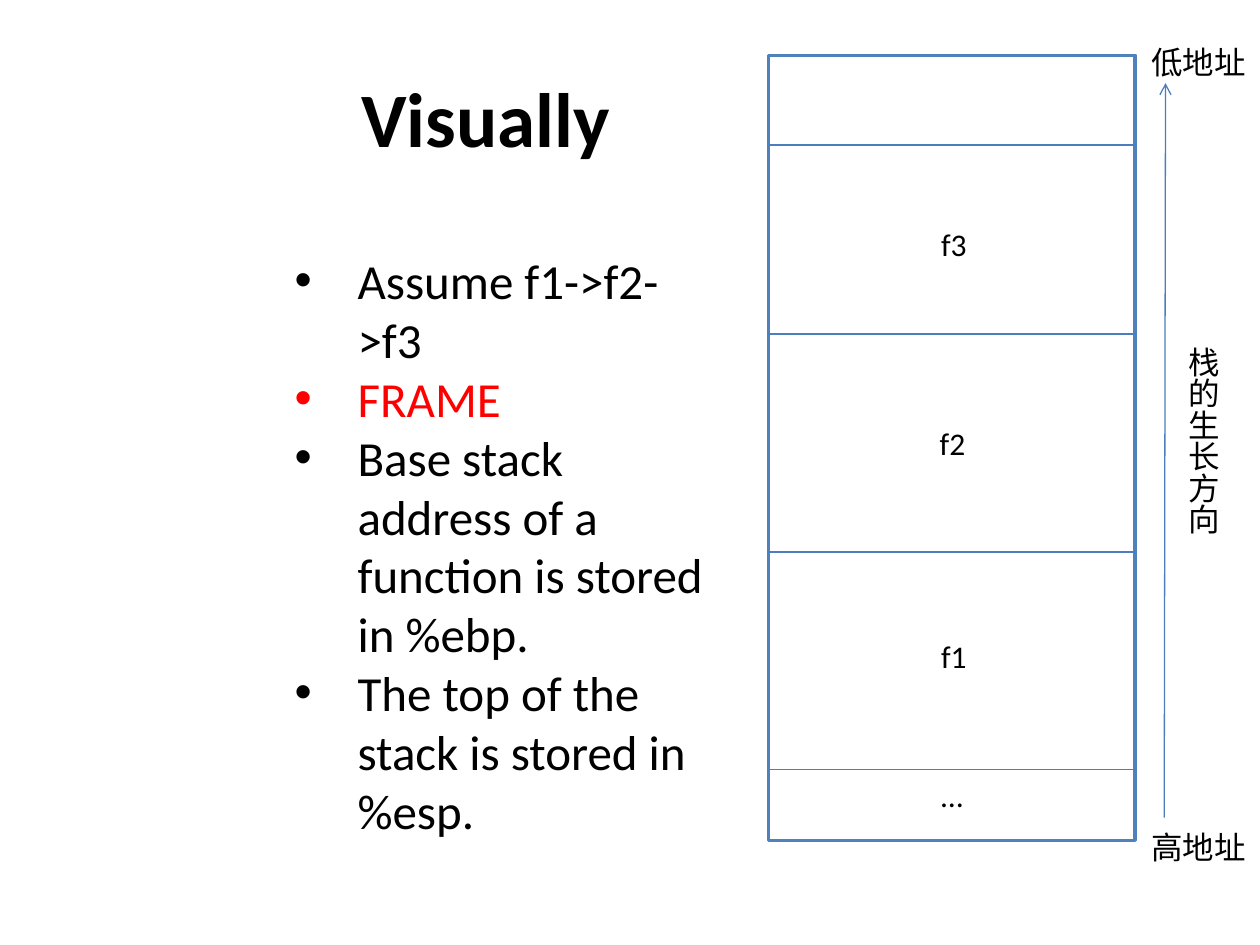
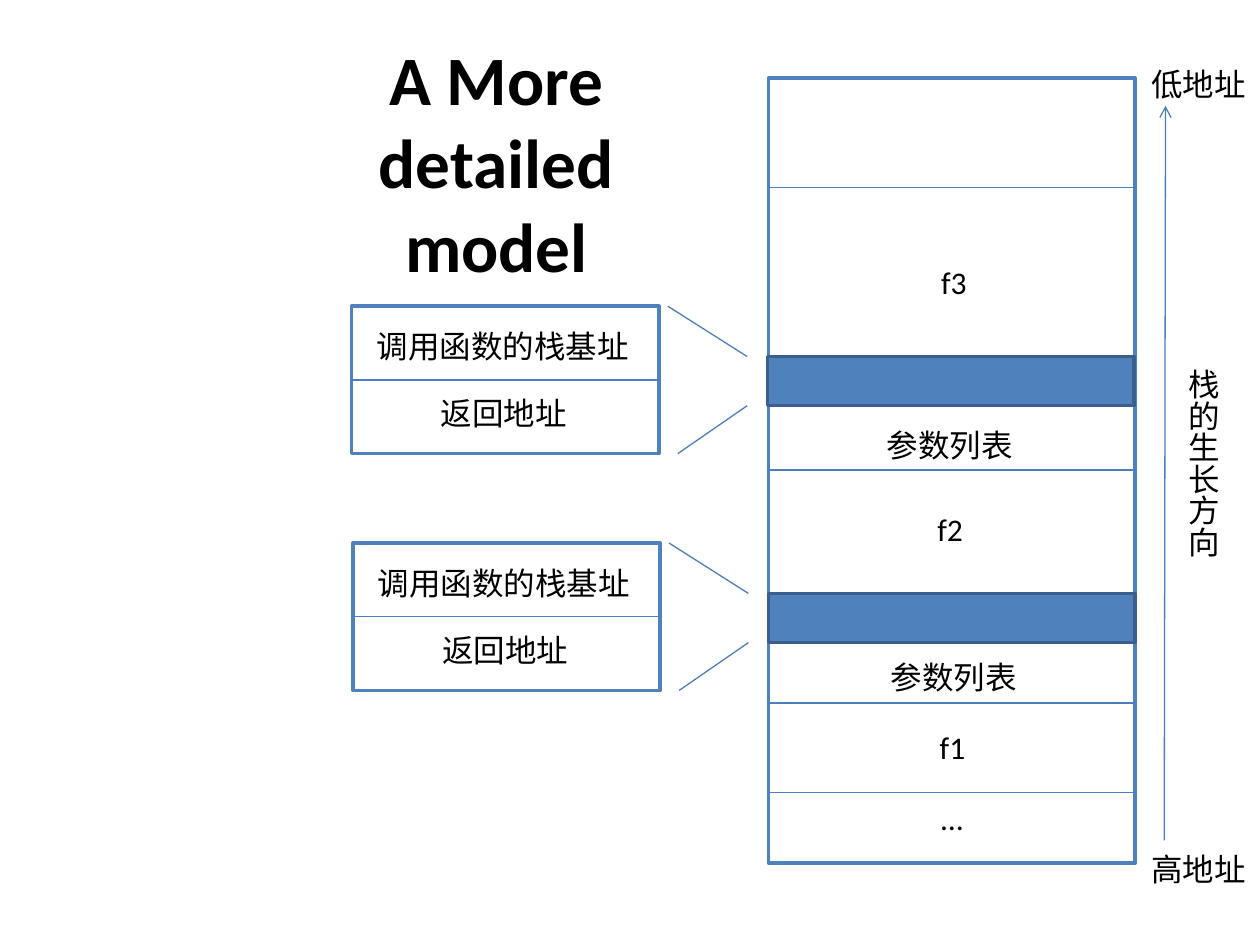
from pptx import Presentation
from pptx.dml.color import RGBColor
from pptx.enum.shapes import MSO_CONNECTOR, MSO_SHAPE
from pptx.enum.text import MSO_ANCHOR, MSO_AUTO_SIZE, PP_ALIGN
from pptx.oxml.ns import qn
from pptx.util import Inches, Pt
from lxml.etree import SubElement

FONT = "Calibri"
BLACK, WHITE, RED = "000000", "FFFFFF", "FF0000"
BLUE, DARK_BLUE, LINE_BLUE = "4F81BD", "3A5F8C", "4B7EBC"
STACK_LEFT, STACK_WIDTH, STACK_HEIGHT = 6.1, 2.91, 6.23
STACK_RIGHT = 9.02
LABEL_HEIGHT = 0.4


def color(hex_value):
    """Turn a hex string into a colour."""
    return RGBColor.from_string(hex_value)


def format_paragraph(paragraph, size, hex_value=BLACK, bold=False):
    """Apply the shared font to every run of a paragraph."""
    for run in paragraph.runs:
        run.font.name = FONT
        run.font.size = Pt(size)
        run.font.bold = bold
        run.font.color.rgb = color(hex_value)


def add_box(slide, left, top, width, height, fill=WHITE, outline=BLUE):
    """Add an outlined rectangle."""
    shape = slide.shapes.add_shape(
        MSO_SHAPE.RECTANGLE, Inches(left), Inches(top), Inches(width), Inches(height))
    shape.shadow.inherit = False
    shape.fill.solid()
    shape.fill.fore_color.rgb = color(fill)
    shape.line.color.rgb = color(outline)
    shape.line.width = Pt(2)


def add_line(slide, start, end, arrow=False):
    """Add a thin straight line, with an arrowhead at its end if asked."""
    connector = slide.shapes.add_connector(
        MSO_CONNECTOR.STRAIGHT, *[Inches(value) for value in (*start, *end)])
    connector.line.color.rgb = color(LINE_BLUE)
    connector.line.width = Pt(0.75)
    if arrow:
        SubElement(connector.line._get_or_add_ln(), qn("a:tailEnd"), type="arrow")
    SubElement(connector._element.spPr, qn("a:effectLst"))


def add_text_box(slide, left, top, width, height):
    """Add a wrapping text box and return its text frame."""
    text_box = slide.shapes.add_textbox(
        Inches(left), Inches(top), Inches(width), Inches(height))
    text_box.text_frame.word_wrap = True
    return text_box.text_frame


def add_title(slide, text, left, width, height, size):
    """Add the bold, centred slide title."""
    text_frame = add_text_box(slide, left, 0.3, width, height)
    text_frame.vertical_anchor = MSO_ANCHOR.MIDDLE
    text_frame.text = text
    paragraph = text_frame.paragraphs[0]
    paragraph.alignment = PP_ALIGN.CENTER
    format_paragraph(paragraph, size, bold=True)


def add_label(slide, text, left, top, width, height=LABEL_HEIGHT, vertical=False):
    """Add a label on one line, or running downwards."""
    text_frame = add_text_box(slide, left, top, width, height)
    text_frame.word_wrap = False
    text_frame.auto_size = MSO_AUTO_SIZE.SHAPE_TO_FIT_TEXT
    text_frame.text = text
    format_paragraph(text_frame.paragraphs[0], 18)
    if vertical:
        text_frame._txBody.bodyPr.set("vert", "eaVert")


def add_bullets(slide, items):
    """Add the bulleted list of (text, colour) items."""
    text_frame = add_text_box(slide, 2.24, 1.94, 3.54, 5.28)
    for index, (text, hex_value) in enumerate(items):
        paragraph = text_frame.add_paragraph() if index else text_frame.paragraphs[0]
        paragraph.text = text
        format_paragraph(paragraph, 28, hex_value)
        properties = paragraph._p.get_or_add_pPr()
        properties.set("marL", str(Inches(0.5)))
        properties.set("indent", str(-Inches(0.5)))
        SubElement(properties, qn("a:buFont"), typeface="Arial")
        SubElement(properties, qn("a:buChar"), char="•")


def add_stack(slide, top, dividers, frames):
    """Draw the stack with its dividers, frame names and address axis."""
    add_box(slide, STACK_LEFT, top, STACK_WIDTH, STACK_HEIGHT)
    for y in (*dividers, top + 5.67):
        add_line(slide, (STACK_LEFT, y), (STACK_RIGHT, y))
    add_label(slide, "…", 7.37, top + 5.67, 0.38)
    for name, left, y in frames:
        add_label(slide, name, left, y, 0.41)
    add_line(slide, (9.24, top + 6.05), (9.25, top + 0.22), arrow=True)
    add_label(slide, "栈的生长方向", 9.25, top + 2.21, 0.5, 1.62, vertical=True)
    add_label(slide, "低地址", 9.04, top - 0.15, 0.96)
    add_label(slide, "高地址", 9.04, top + 6.08, 0.96)


def add_saved_area(slide, left, top, band_left):
    """Draw a filled stack band and the detail box that explains it."""
    width, height = 2.44, 1.17
    band_top, band_height = top + 0.4, 0.39
    add_box(slide, band_left, band_top, STACK_WIDTH, band_height, BLUE, DARK_BLUE)
    add_box(slide, left, top, width, height)
    middle = top + height / 2
    add_line(slide, (left, middle), (left + width, middle))
    add_label(slide, "调用函数的栈基址", left + 0.1, top + 0.12, 2.22)
    add_label(slide, "返回地址", left + 0.61, top + 0.65, 1.21)
    tip = left + 3.14
    add_line(slide, (left + 2.51, top), (tip, band_top))
    add_line(slide, (tip, band_top + band_height), (left + 2.59, top + height))


def build_overview(slide):
    """Build the slide with the plain stack and its explanation."""
    add_title(slide, "Visually", 2.24, 3.23, 1.25, 44)
    add_stack(slide, 0.44, (1.15, 2.65, 4.38),
              [("f1", 7.37, 5.01), ("f2", 7.36, 3.32), ("f3", 7.37, 1.74)])
    add_bullets(slide, [
        ("Assume f1->f2->f3", BLACK),
        ("FRAME", RED),
        ("Base stack address of a function is stored in %ebp.", BLACK),
        ("The top of the stack is stored in %esp.", BLACK),
    ])


def build_detail(slide):
    """Build the slide with saved addresses and parameter lists."""
    add_title(slide, "A More detailed model", 2.17, 3.54, 1.96, 39.6)
    add_stack(slide, 0.62, (1.49, 3.73, 5.58),
              [("f1", 7.36, 5.73), ("f2", 7.34, 4), ("f3", 7.37, 2.04)])
    add_saved_area(slide, 2.8, 4.31, 6.1)
    add_saved_area(slide, 2.79, 2.43, 6.09)
    for left, top in ((6.97, 5.17), (6.94, 3.33)):
        add_label(slide, "参数列表", left, top, 1.21)


def main():
    """Build and save the presentation."""
    presentation = Presentation()
    presentation.slide_width = Inches(10)
    presentation.slide_height = Inches(7.5)
    for build in (build_overview, build_detail):
        build(presentation.slides.add_slide(presentation.slide_layouts[6]))
    presentation.save("out.pptx")


main()
